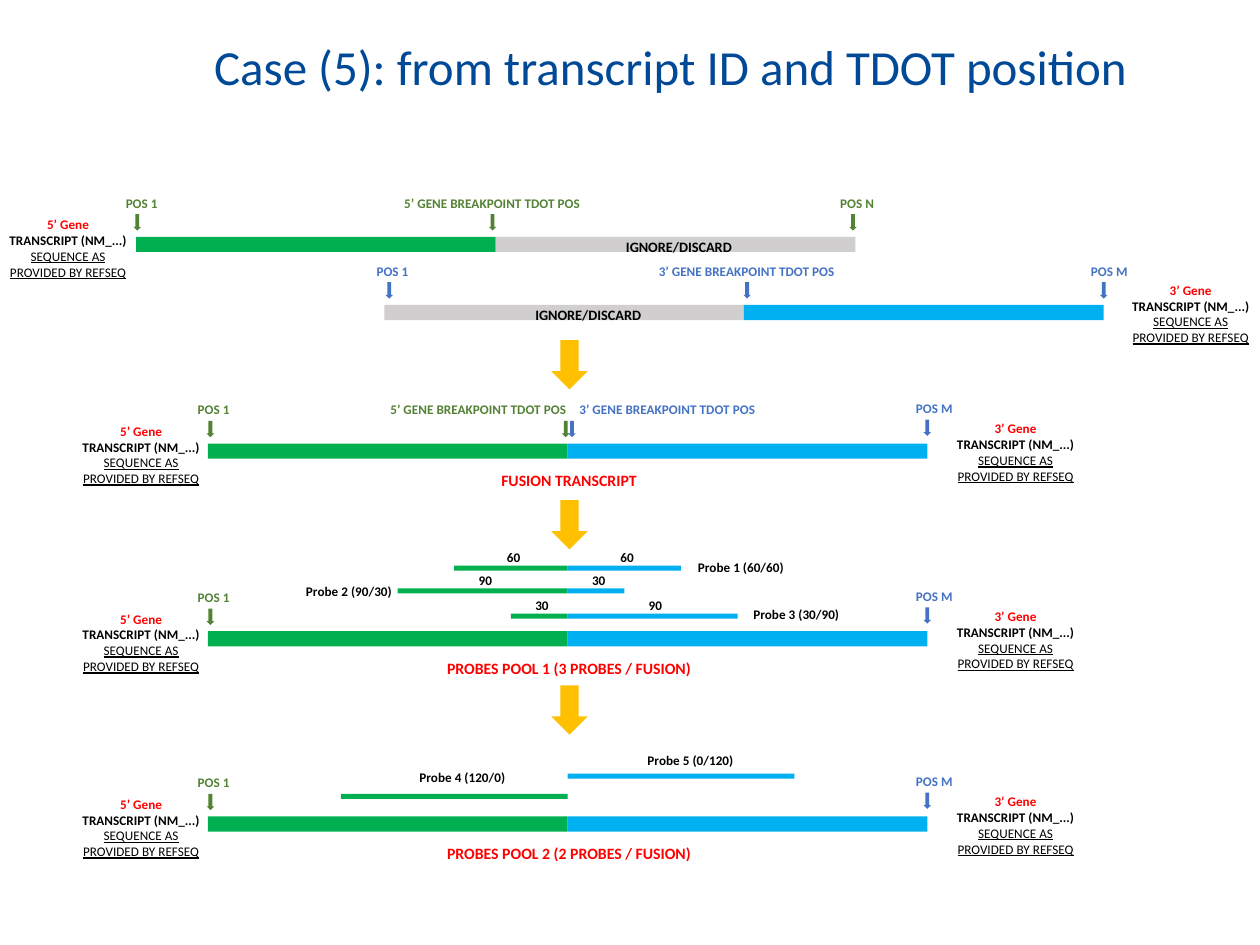
from dataclasses import dataclass

from pptx import Presentation
from pptx.dml.color import RGBColor
from pptx.enum.shapes import MSO_SHAPE
from pptx.enum.text import MSO_AUTO_SIZE, PP_ALIGN
from pptx.util import Inches, Pt


@dataclass(frozen=True)
class Theme:
    font: str = "Calibri"
    title: str = "004997"
    body: str = "000000"
    accent: str = "FF0000"
    five: str = "00B050"
    three: str = "00B0F0"
    discard: str = "D0CECE"
    step: str = "FFC000"
    five_mark: str = "548235"
    three_mark: str = "4472C4"
    title_size: float = 28
    stage_size: float = 9
    discard_size: float = 8.2
    label_size: float = 7.5


THEME = Theme()
SLIDE_WIDTH, SLIDE_HEIGHT = 10, 7.5
COLUMN, ROW = SLIDE_WIDTH / 100, SLIDE_HEIGHT / 75

HALF, BAR = 28.55, 1.2
FUSION_LEFT = 16.5
JUNCTION = FUSION_LEFT + HALF
BASE, PROBE_BAR = 0.15, 0.4
LABEL_HEIGHT = 2.3

TITLE = "Case (5): from transcript ID and TDOT position"
DISCARD = "IGNORE/DISCARD"
FIVE_BREAK = "5’ GENE BREAKPOINT TDOT POS"
THREE_BREAK = "3’ GENE BREAKPOINT TDOT POS"
CAPTION = ["TRANSCRIPT (NM_...)", "SEQUENCE AS", "PROVIDED BY REFSEQ"]

STRANDS = [
    (10.8, 18.8, THEME.five, THEME.discard),
    (30.5, 24.2, THEME.discard, THEME.three),
]
DISCARD_LABELS = [(48.7, 18.4), (41.5, 23.8)]
STAGES = [
    ("FUSION TRANSCRIPT", 12.9, 35.2),
    ("PROBES POOL 1 (3 PROBES / FUSION)", 21.5, 50.1),
    ("PROBES POOL 2 (2 PROBES / FUSION)", 21.5, 64.8),
]
STEPS = [27, 39.7, 54.4]

MARKS = [
    ("POS 1", 4.6, THEME.five_mark, 10.6, 18.8, 1.6),
    (FIVE_BREAK, 16.1, THEME.five_mark, 38.8, 18.8, 7.7),
    ("POS N", 4.7, THEME.five_mark, 67.4, 18.8, 1.7),
    ("POS 1", 4.6, THEME.three_mark, 30.6, 24.2, 1.7),
    (THREE_BREAK, 16.1, THEME.three_mark, 59, 24.2, 7.7),
    ("POS M", 4.9, THEME.three_mark, 87.3, 24.2, 1.7),
    (FIVE_BREAK, 16.1, THEME.five_mark, 44.6, 35.2, 14.6),
    (THREE_BREAK, 16.1, THEME.three_mark, 45.1, 35.2, 0.1),
]
PROBES = [
    ("Probe 1 (60/60)", 60, 60, 44.9, 54.4, 43.9),
    ("Probe 2 (90/30)", 90, 30, 46.7, 23.3, 45.8),
    ("Probe 3 (30/90)", 30, 90, 48.7, 58.8, 47.6),
    ("Probe 4 (120/0)", 120, 0, 63, 32.3, 60.6),
    ("Probe 5 (0/120)", 0, 120, 61.4, 50.4, 59.2),
]

deck = Presentation()
deck.slide_width, deck.slide_height = Inches(SLIDE_WIDTH), Inches(SLIDE_HEIGHT)
slide = deck.slides.add_slide(deck.slide_layouts[6])


def place(left, top, width, height):
    return (Inches(left * COLUMN), Inches(top * ROW),
            Inches(width * COLUMN), Inches(height * ROW))


def block(kind, left, top, width, height, color):
    shape = slide.shapes.add_shape(kind, *place(left, top, width, height))
    shape.shadow.inherit = False
    shape.fill.solid()
    shape.fill.fore_color.rgb = RGBColor.from_string(color)
    shape.line.fill.background()


def bar(left, top, width, color, height=BAR):
    block(MSO_SHAPE.RECTANGLE, left, top, width, height, color)


def write(text, left, top, width, height=LABEL_HEIGHT, size=THEME.label_size,
          color=THEME.body, bold=True, align=PP_ALIGN.LEFT, wrap=False, styles=()):
    box = slide.shapes.add_textbox(*place(left, top, width, height))
    frame = box.text_frame
    frame.word_wrap = wrap
    frame.auto_size = MSO_AUTO_SIZE.NONE if wrap else MSO_AUTO_SIZE.SHAPE_TO_FIT_TEXT
    frame.text = text
    for index, paragraph in enumerate(frame.paragraphs):
        style = styles[index] if styles else {}
        paragraph.alignment = align
        font = paragraph.runs[0].font
        font.name, font.size = THEME.font, Pt(size)
        font.bold = style.get("bold", bold)
        font.underline = style.get("underline", False)
        font.color.rgb = RGBColor.from_string(style.get("color", color))
    return frame


def caption(gene, left, top):
    source = {"bold": False, "underline": True}
    write("\n".join([gene, *CAPTION]), left, top, 11.4, 6.1, align=PP_ALIGN.CENTER,
          styles=[{"color": THEME.accent}, {}, source, source])


def mark(text, width, color, left, bar_top, offset, lift=0):
    block(MSO_SHAPE.DOWN_ARROW, left, bar_top - 1.8 - lift, 0.6, 1.3, color)
    write(text, left - offset, bar_top - 3.8 - lift, width, color=color)


for left, top, first, second in STRANDS:
    bar(left, top, HALF, first)
    bar(left + HALF, top, HALF, second)
for left, top in DISCARD_LABELS:
    write(DISCARD, left, top, 10.6, 2.4, size=THEME.discard_size)
caption("5’ Gene", -0.3, 16.7)
caption("3’ Gene", 88.8, 21.9)

for name, width, top in STAGES:
    bar(FUSION_LEFT, top, HALF, THEME.five)
    bar(JUNCTION, top, HALF, THEME.three)
    caption("5’ Gene", FUSION_LEFT - 11, top - 2.1)
    caption("3’ Gene", JUNCTION + HALF + 1.3, top - 2.3)
    mark("POS 1", 4.6, THEME.five_mark, 16.4, top, 1.7)
    mark("POS M", 4.9, THEME.three_mark, 73.3, top, 1.6, lift=0.1)
    write(name, JUNCTION + 0.2 - width / 2, top + 1.7, width, 2.5,
          size=THEME.stage_size, color=THEME.accent)

for top in STEPS:
    block(MSO_SHAPE.DOWN_ARROW, 43.75, top, 2.9, 3.9, THEME.step)
for details in MARKS:
    mark(*details)

for name, five, three, top, name_left, name_top in PROBES:
    arms = [(five, JUNCTION - five * BASE, THEME.five), (three, JUNCTION, THEME.three)]
    for bases, left, color in arms:
        if bases:
            bar(left, top, bases * BASE, color, PROBE_BAR)
        if five and three:
            write(str(bases), left + bases * BASE / 2 - 1.3, top - 1.75, 3.1)
    write(name, name_left, name_top, 8.8)

heading = write(TITLE, 17, 3.4, 85.6, 3.8, size=THEME.title_size,
                color=THEME.title, bold=False, wrap=True)
heading.margin_left = heading.margin_top = 0
heading.paragraphs[0].line_spacing = 0.9

deck.save("out.pptx")
